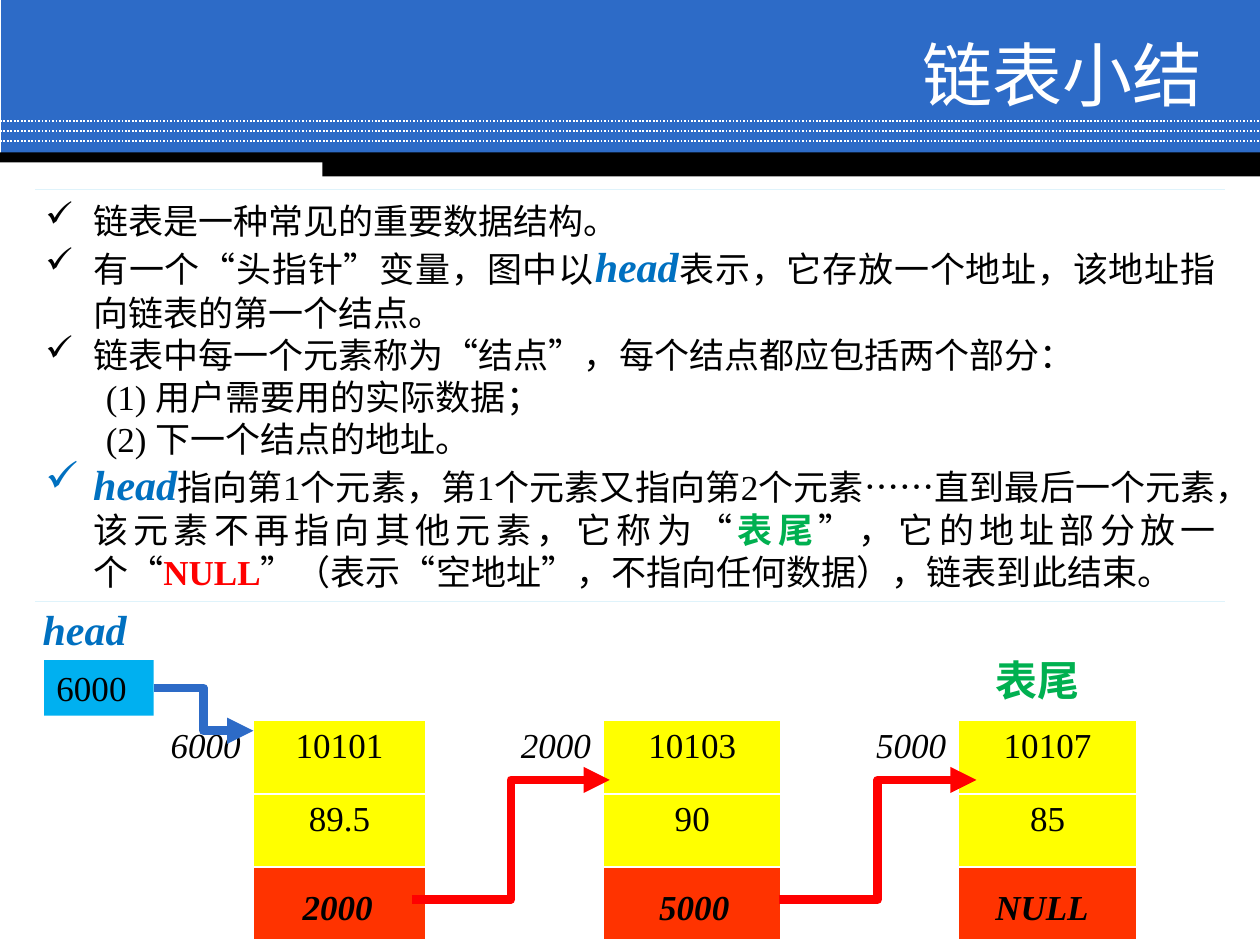
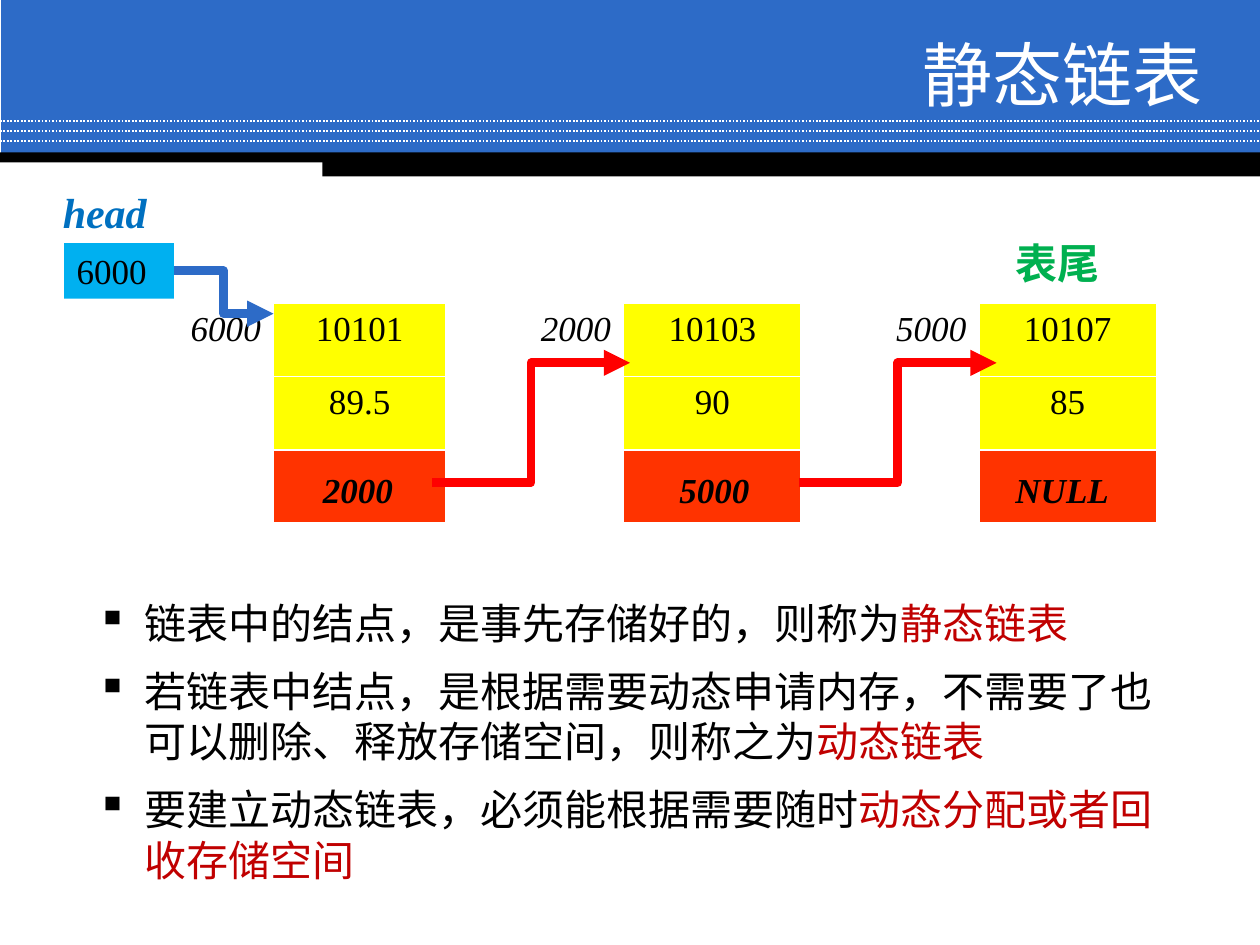
from lxml import etree
from pptx import Presentation
from pptx.dml.color import RGBColor
from pptx.enum.dml import MSO_LINE
from pptx.enum.shapes import MSO_CONNECTOR, MSO_SHAPE
from pptx.enum.text import MSO_ANCHOR, PP_ALIGN
from pptx.oxml.ns import qn
from pptx.util import Inches, Pt

STRAIGHT, ELBOW = MSO_CONNECTOR.STRAIGHT, MSO_CONNECTOR.ELBOW
RECTANGLE = MSO_SHAPE.RECTANGLE
LEFT, CENTER, RIGHT, JUSTIFY = PP_ALIGN.LEFT, PP_ALIGN.CENTER, PP_ALIGN.RIGHT, PP_ALIGN.JUSTIFY
MIDDLE, DOTTED = MSO_ANCHOR.MIDDLE, MSO_LINE.ROUND_DOT

BLUE, BLACK, WHITE = "2D6BC7", "000000", "FFFFFF"
CYAN, YELLOW, ORANGE, RED = "00B0F0", "FFFF00", "FF3300", "FF0000"
HEAD_BLUE, TAIL_GREEN, DARK_RED, PALE_BLUE = "0070C0", "00B050", "C00000", "DFF3FB"
SERIF, CHINESE = "Times New Roman", "Noto Sans CJK SC"
color = RGBColor.from_string


def write(paragraph, runs, size=20, ink=BLACK, align=LEFT, font=SERIF, bold=False,
          italic=False, spacing=1.2, margin=0, bullet=None):
    """Fill a paragraph; runs are (text, size, colour, bold, italic) or one string."""
    paragraph.alignment = align
    if spacing:
        paragraph.line_spacing = Pt(round(size * spacing))
    paragraph.font.name, paragraph.font.size = font, Pt(size)
    paragraph.font.bold, paragraph.font.italic = bold, italic
    paragraph.font.color.rgb = color(ink)
    if margin:
        properties = paragraph._p.get_or_add_pPr()
        properties.set("marL", str(Inches(margin)))
        properties.set("indent", str(Inches(-margin if bullet else 0)))
    if bullet:
        mark = etree.Element(qn("a:buChar"), char=bullet)
        paragraph.font._element.addprevious(mark)
    for part in [(runs,)] if isinstance(runs, str) else runs:
        run = paragraph.add_run()
        run.text = part[0]
        if len(part) > 1:
            run.font.size, run.font.color.rgb = Pt(part[1]), color(part[2])
            run.font.bold, run.font.italic = part[3:]
        etree.SubElement(run._r.get_or_add_rPr(), qn("a:ea"), typeface=CHINESE)


def add_line(slide, kind, start, end, ink, width, arrow=False):
    points = [Inches(value) for value in (*start, *end)]
    connector = slide.shapes.add_connector(kind, *points)
    connector.line.color.rgb = color(ink)
    connector.line.width = Pt(width)
    if arrow:
        etree.SubElement(connector.line._get_or_add_ln(), qn("a:tailEnd"), type="triangle")
    etree.SubElement(connector._element.spPr, qn("a:effectLst"))
    return connector


presentation = Presentation()
presentation.slide_width, presentation.slide_height = Inches(10), Inches(7.5)

# Title and top left corner of the list diagram on each slide
pages = [("链表小结", 0.55, 5.72), ("静态链表", 0.71, 2.41)]
bands = [(0.01, 0, 9.99, 1.23, BLUE), (0, 1.21, 10, 0.08, BLACK), (2.56, 1.24, 7.44, 0.16, BLACK)]

# Address, number, score, next address of each node, and left of the next address
nodes = [
    ("6000", "10101", "89.5", "2000", 1.62),
    ("2000", "10103", "90", "5000", 4.45),
    ("5000", "10107", "85", "NULL", 7.21),
]
column_widths = [1.46, 1.37, 1.41, 1.41, 1.41, 1.41]
row_height = 0.58

for title, left, top in pages:
    slide = presentation.slides.add_slide(presentation.slide_layouts[6])

    # Header bands and dotted rules
    for x, y, width, height, fill in bands:
        band = slide.shapes.add_shape(RECTANGLE, Inches(x), Inches(y), Inches(width), Inches(height))
        band.shadow.inherit = False
        band.fill.solid()
        band.fill.fore_color.rgb = color(fill)
        band.line.fill.background()
    for index in range(3):
        y = 0.96 + 0.08 * index
        rule = add_line(slide, STRAIGHT, (0, y), (10, y), WHITE, 1)
        rule.line.dash_style = DOTTED

    # Title
    title_box = slide.shapes.add_textbox(Inches(2.72), Inches(0.29), Inches(6.92), Inches(0.58))
    title_box.text_frame.word_wrap = True
    title_box.text_frame.vertical_anchor = MIDDLE
    write(title_box.text_frame.paragraphs[0], title, 40, WHITE, RIGHT, "Arial", spacing=None)

    # Nodes: an address column and a filled column for each
    table_frame = slide.shapes.add_table(3, 6, Inches(left), Inches(top),
                                         Inches(sum(column_widths)), Inches(3 * row_height))
    table = table_frame.table
    table.first_row = table.horz_banding = False
    for column, width in zip(table.columns, column_widths):
        column.width = Inches(width)
    for row in table.rows:
        row.height = Inches(row_height)
    for index, (address, number, score, _, _) in enumerate(nodes):
        write(table.cell(0, 2 * index).text_frame.paragraphs[0], address,
              align=RIGHT, italic=True, spacing=None)
        for row, value in enumerate((number, score)):
            write(table.cell(row, 2 * index + 1).text_frame.paragraphs[0], value,
                  align=CENTER, spacing=None)
        for row, fill in enumerate((YELLOW, YELLOW, ORANGE)):
            table.cell(row, 2 * index).fill.background()
            cell = table.cell(row, 2 * index + 1)
            for side in ("a:lnT", "a:lnB"):
                border = etree.SubElement(cell._tc.get_or_add_tcPr(), qn(side), w=str(Pt(1)))
                border_fill = etree.SubElement(border, qn("a:solidFill"))
                etree.SubElement(border_fill, qn("a:srgbClr"), val=WHITE)
            cell.fill.solid()
            cell.fill.fore_color.rgb = color(fill)

    # Arrows from each next address to the following node
    for x in (2.72, 5.63):
        add_line(slide, ELBOW, (left + x, top + 1.42), (left + x + 1.57, top + 0.47), RED, 5, True)

    # Head pointer
    head_box = slide.shapes.add_shape(RECTANGLE, Inches(left - 0.2), Inches(top - 0.48),
                                      Inches(0.87), Inches(0.44))
    head_box.shadow.inherit = False
    head_box.fill.solid()
    head_box.fill.fore_color.rgb = color(CYAN)
    head_box.line.fill.background()
    write(head_box.text_frame.paragraphs[0], "6000")
    add_line(slide, ELBOW, (left + 0.67, top - 0.26), (left + 1.46, top + 0.08), BLUE, 5, True)

    # Next addresses and labels: text, left, top, width, height, style
    labels = [(node[3], node[4], 1.26, 1.02, 0.44, dict(align=CENTER, bold=True, italic=True))
              for node in nodes]
    labels += [
        ("head", -0.31, -0.98, 1.14, 0.5, dict(size=24, ink=HEAD_BLUE, bold=True, italic=True)),
        ("表尾", 7.25, -0.58, 1.14, 0.5, dict(size=24, ink=TAIL_GREEN, font=CHINESE, bold=True)),
    ]
    for text, x, y, width, height, style in labels:
        label = slide.shapes.add_textbox(Inches(left + x), Inches(top + y),
                                         Inches(width), Inches(height))
        label.text_frame.word_wrap = True
        write(label.text_frame.paragraphs[0], text, **style)

summary_slide, static_slide = presentation.slides

# Summary text between two hairlines
for y in (1.5, 4.77):
    add_line(summary_slide, STRAIGHT, (0.28, y), (9.72, y), PALE_BLUE, 0.5)
head_run = ("head", 24, HEAD_BLUE, True, True)
summary = [
    "链表是一种常见的重要数据结构。",
    [("有一个“头指针”变量，图中以",), head_run, ("表示，它存放一个地址，该地址指向链表的第一个结点。",)],
    "链表中每一个元素称为“结点”，每个结点都应包括两个部分：",
    "(1) 用户需要用的实际数据；",
    "(2) 下一个结点的地址。",
    [head_run,
     ("指向第1个元素，第1个元素又指向第2个元素……直到最后一个元素，该元素不再指向其他元素，它称为“",),
     ("表尾", 20, TAIL_GREEN, True, False),
     ("”，它的地址部分放一个“",),
     ("NULL", 20, RED, True, False),
     ("”（表示“空地址”，不指向任何数据），链表到此结束。",)],
]
summary_box = summary_slide.shapes.add_textbox(Inches(0.28), Inches(1.5), Inches(9.45), Inches(3.28))
frame = summary_box.text_frame
frame.word_wrap = True
frame.margin_left = frame.margin_right = frame.margin_top = frame.margin_bottom = Inches(0.08)
for index, runs in enumerate(summary):
    paragraph = frame.add_paragraph() if index else frame.paragraphs[0]
    numbered = runs[0] == "("
    write(paragraph, runs, align=JUSTIFY, margin=0.48 if numbered else 0.38,
          bullet=None if numbered else "✓")
    if head_run in runs if isinstance(runs, list) else False:
        paragraph.space_before = Pt(4.5)

# Static and dynamic lists
definitions = [
    ("链表中的结点，是事先存储好的，则称为", "静态链表"),
    ("若链表中结点，是根据需要动态申请内存，不需要了也可以删除、释放存储空间，则称之为", "动态链表"),
    ("要建立动态链表，必须能根据需要随时", "动态分配或者回收存储空间"),
]
definition_box = static_slide.shapes.add_textbox(Inches(0.67), Inches(4.69), Inches(8.66), Inches(2.45))
frame = definition_box.text_frame
frame.word_wrap = True
for index, (text, term) in enumerate(definitions):
    paragraph = frame.add_paragraph() if index else frame.paragraphs[0]
    write(paragraph, [(text,), (term, 24, DARK_RED, False, False)], 24, margin=0.38, bullet="▪")
    paragraph.space_after = Pt(9.6)

presentation.save("out.pptx")
